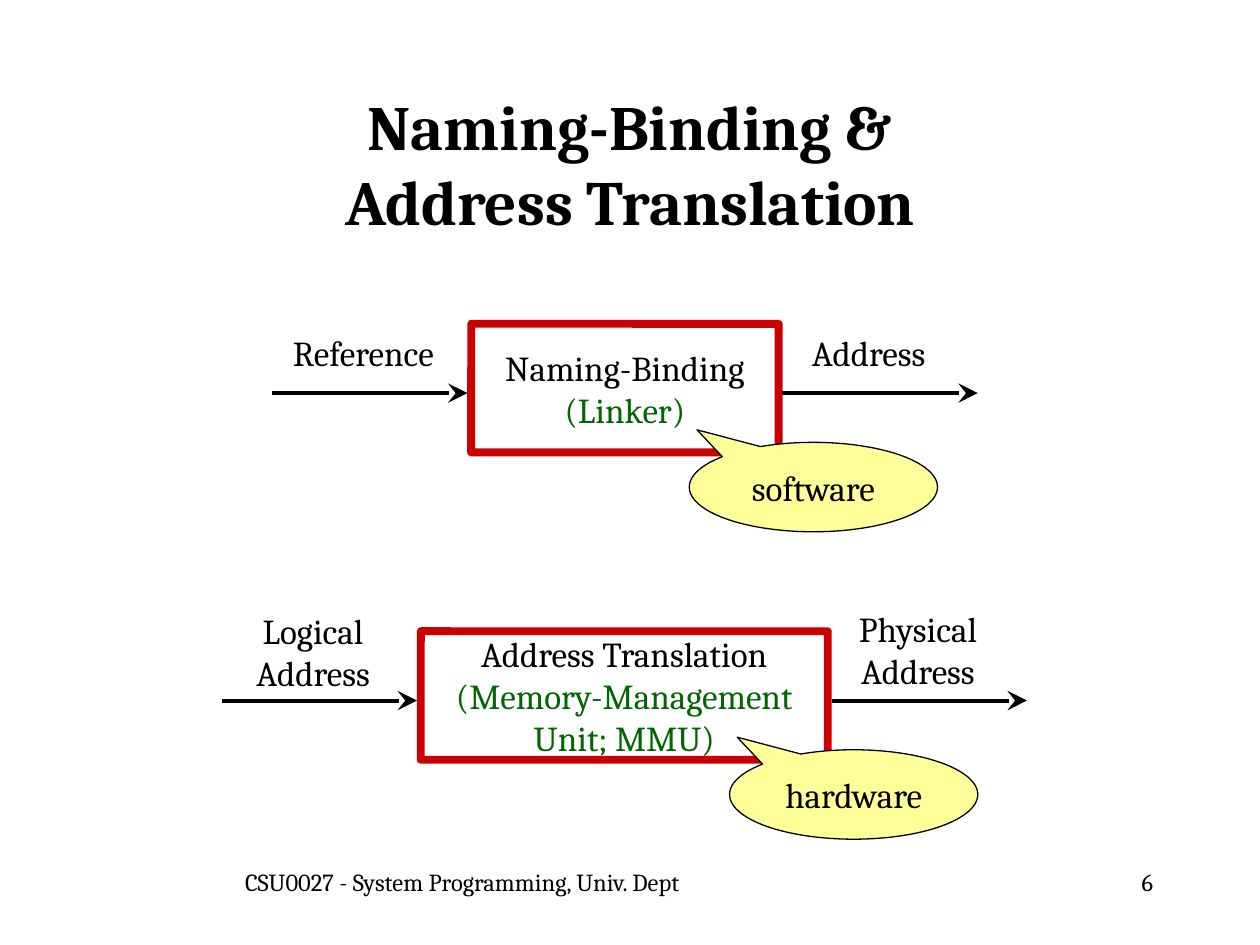
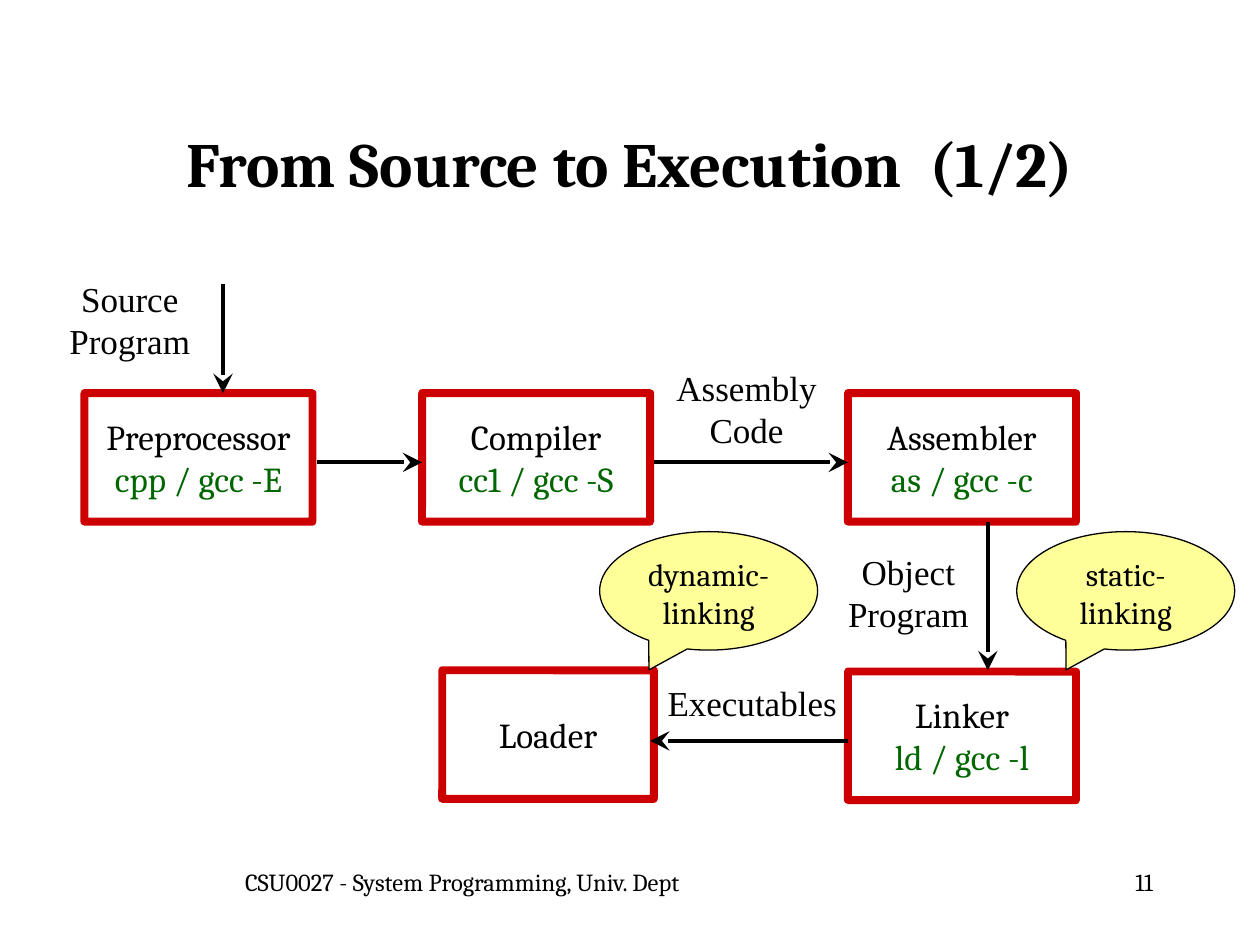
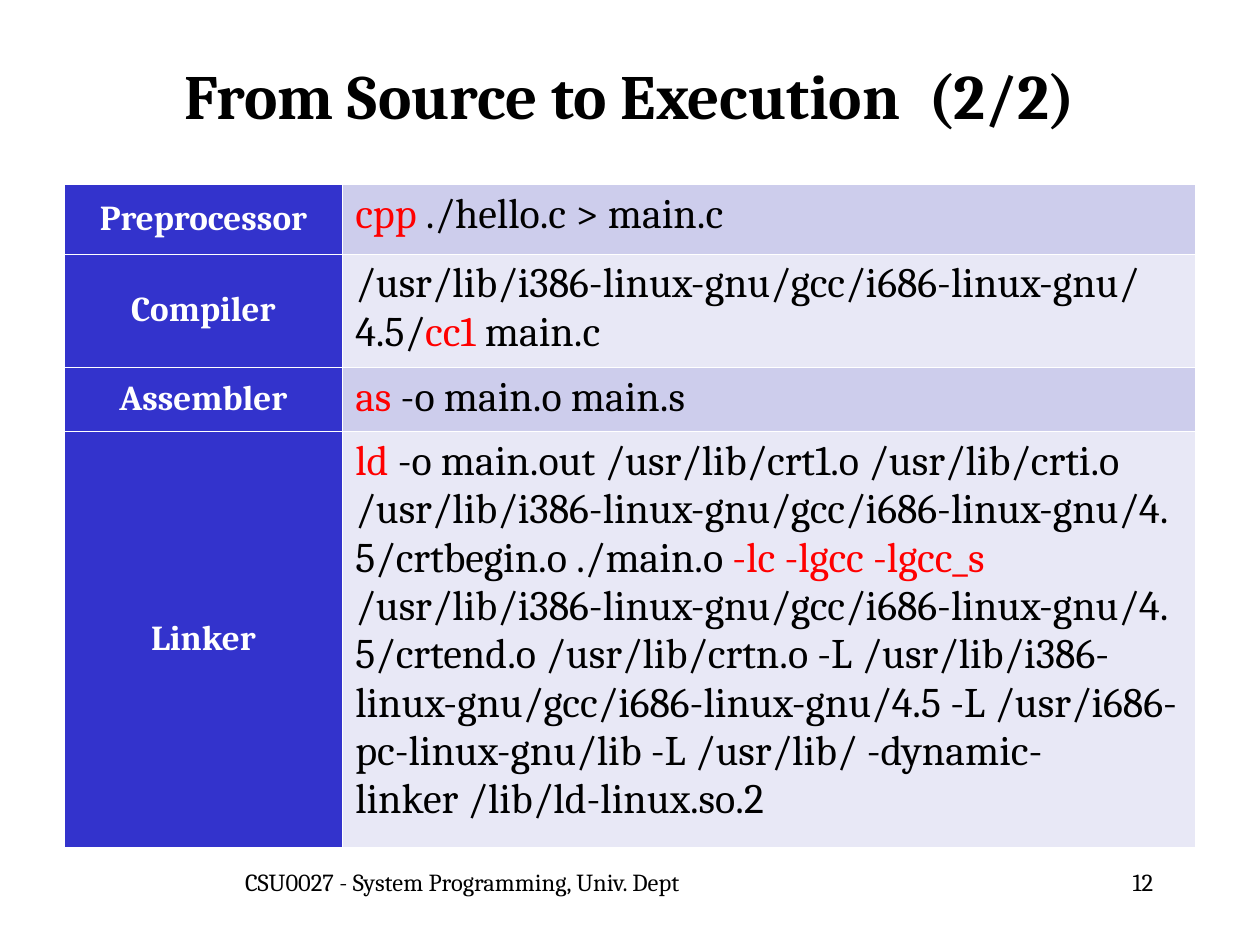
from lxml import etree
from pptx import Presentation
from pptx.dml.color import RGBColor
from pptx.enum.shapes import MSO_CONNECTOR, MSO_SHAPE
from pptx.enum.text import MSO_ANCHOR, MSO_AUTO_SIZE, PP_ALIGN
from pptx.oxml.ns import qn
from pptx.util import Inches, Pt

LEFT, MID, RIGHT = PP_ALIGN.LEFT, PP_ALIGN.CENTER, PP_ALIGN.RIGHT
TOP, CORE = MSO_ANCHOR.TOP, MSO_ANCHOR.MIDDLE
NONE, GROW = MSO_AUTO_SIZE.NONE, MSO_AUTO_SIZE.SHAPE_TO_FIT_TEXT
ROUND, WEDGE = MSO_SHAPE.ROUNDED_RECTANGLE, MSO_SHAPE.OVAL_CALLOUT
LINE = MSO_CONNECTOR.STRAIGHT

BLACK, WHITE, RED, GREEN = "000000", "FFFFFF", "FF0000", "006600"
FRAME, CLOUD, HEAD = "CC0000", "FFFF99", "3333CC"
BANDS = ["CDCDEC", "E8E8F6"]
hue = RGBColor.from_string

BODY = {"name": "Cambria", "size": Pt(20), "bold": False}
TIMES = {**BODY, "name": "Times New Roman"}
SMALL = {**BODY, "size": Pt(18)}
FOOT = {**BODY, "size": Pt(14)}
CODE = {**BODY, "size": Pt(24)}
BOLD = {**BODY, "bold": True}
TITLE = {**BOLD, "size": Pt(36)}
TIP = {"type": "stealth", "w": "lg", "len": "lg"}

deck = Presentation()
deck.slide_width, deck.slide_height = Inches(10), Inches(7.5)
CELL = deck.slide_width / 100


def grid(*spans):
    return [round(span * CELL) for span in spans]


def write(frame, paras, form, align=MID, ink=BLACK, mark=GREEN):
    for i, para in enumerate(paras):
        p = frame.add_paragraph() if i else frame.paragraphs[0]
        p.alignment = align
        for j, part in enumerate(para.split("|")):
            if part == "\v":
                p.add_line_break()
            elif part:
                run = p.add_run()
                run.text = part
                run.font.color.rgb = hue(mark if j % 2 else ink)
                for key, value in form.items():
                    setattr(run.font, key, value)


pairs = {
    "title": "Naming-Binding &|\v|Address Translation", "top": 6.67, "page": "6",
    "form": BODY, "note": BODY, "anchor": CORE, "turn": 180, "tip": (0.469, 0.64),
    "boxes": [], "labels": [], "lines": [], "notes": [],
}
for y, x, wide, text, ins, outs, note in [
    (25.7, 37.4, 24.4, ["Naming-Binding", "|(Linker)"],
     (21.2, 25.8, 15.3, 4.4, ["Reference"]),
     (62.6, 25.8, 12.7, 4.4, ["Address"]), (54.7, "software")),
    (50.1, 33.4, 32.3, ["Address Translation", "|(Memory-Management", "|Unit; MMU)"],
     (18.5, 47.9, 12.7, 7.7, ["Logical", "Address"]),
     (66.4, 47.7, 12.9, 7.7, ["Physical", "Address"]), (57.9, "hardware")),
]:
    pairs["boxes"].append((x, y, wide, text))
    pairs["labels"] += [ins, outs]
    for start in (x - 15.8, x + wide + 0.3):
        pairs["lines"].append((start, y + 5.5, start + 15.5, y + 5.5))
    pairs["notes"].append((note[0], y + 9.4, 19.7, 7.1, note[1]))

flow = {
    "title": "From Source to Execution  (1/2)", "top": 6.67, "page": "11",
    "form": TIMES, "note": SMALL, "anchor": TOP, "turn": 0, "tip": (-0.274, 0.667),
    "boxes": [
        (6.7, 31.2, 18.1, ["Preprocessor", "|cpp / gcc -E"]),
        (33.5, 31.2, 18.1, ["Compiler", "|cc1 / gcc -S"]),
        (67.3, 31.2, 18.1, ["Assembler", "|as / gcc -c"]),
        (67.3, 53.3, 18.1, ["Linker", "|ld / gcc -l"]),
        (35.1, 53.2, 16.8, ["Loader"]),
    ],
    "labels": [
        (4.5, 21.5, 11.6, 7.7, ["Source", "Program"]),
        (52.7, 28.6, 13.1, 7.7, ["Assembly", "Code"]),
        (66.3, 43.2, 11.6, 7.7, ["Object", "Program"]),
        (51.7, 53.6, 16, 4.4, ["Executables"]),
    ],
    "lines": [
        (17.7, 22.5, 17.7, 31.2),
        (25.2, 36.7, 33.5, 36.7),
        (51.9, 36.7, 67.3, 36.7),
        (78.4, 41.4, 78.4, 53.2),
        (67.3, 58.8, 51.6, 58.8),
    ],
    "notes": [
        (80.7, 42.2, 17.3, 9.4, "static-linking"),
        (47.6, 42.2, 17.3, 9.4, "dynamic-linking"),
    ],
}

steps = {
    "title": "From Source to Execution  (2/2)", "top": 1.25, "page": "12",
    "rows": [
        (5.5, "Preprocessor", "|cpp| ./hello.c > main.c"),
        (9, "Compiler", "/usr/lib/i386-linux-gnu/gcc/i686-linux-gnu/4.5/|cc1| main.c"),
        (5.1, "Assembler", "|as| -o main.o main.s"),
        (33, "Linker",
         "|ld| -o main.out /usr/lib/crt1.o /usr/lib/crti.o "
         "/usr/lib/i386-linux-gnu/gcc/i686-linux-gnu/4.5/crtbegin.o ./main.o "
         "|-lc -lgcc -lgcc_s |"
         "/usr/lib/i386-linux-gnu/gcc/i686-linux-gnu/4.5/crtend.o /usr/lib/crtn.o "
         "-L /usr/lib/i386-linux-gnu/gcc/i686-linux-gnu/4.5 "
         "-L /usr/i686-pc-linux-gnu/lib -L /usr/lib/ "
         "-dynamic-linker /lib/ld-linux.so.2"),
    ],
}

for scene in (pairs, flow, steps):
    slide = deck.slides.add_slide(deck.slide_layouts[5])
    shapes = slide.shapes
    title = shapes.title
    title.left, title.top, title.width, title.height = grid(7.5, scene["top"], 85, 12.5)
    title.text_frame.auto_size = NONE
    title.text_frame.vertical_anchor = CORE
    write(title.text_frame, [scene["title"]], TITLE)

    for x, wide, text, align in [
        (7.5, 58.4, "CSU0027 - System Programming, Univ. Dept", MID),
        (71.7, 20.8, scene["page"], RIGHT),
    ]:
        foot = shapes.add_textbox(*grid(x, 68.3, wide, 5)).text_frame
        foot.word_wrap = True
        write(foot, [text], FOOT, align)

    for x, y, wide, text in scene.get("boxes", []):
        box = shapes.add_shape(ROUND, *grid(x, y, wide, 10.2))
        box.adjustments[0] = 0.001
        box.shadow.inherit = False
        box.fill.background()
        box.line.color.rgb = hue(FRAME)
        box.line.width = Pt(4.5)
        box.text_frame.word_wrap = False
        box.text_frame.vertical_anchor = CORE
        write(box.text_frame, text, BODY)

    for *area, text in scene.get("labels", []):
        label = shapes.add_textbox(*grid(*area)).text_frame
        label.word_wrap = False
        label.auto_size = GROW
        write(label, text, scene["form"])

    for ends in scene.get("lines", []):
        arrow = shapes.add_connector(LINE, *grid(*ends))
        arrow.line.color.rgb = hue(BLACK)
        arrow.line.width = Pt(2.25)
        props = arrow.element.spPr
        etree.SubElement(props.find(qn("a:ln")), qn("a:tailEnd"), TIP)
        etree.SubElement(props, qn("a:effectLst"))

    for *area, text in scene.get("notes", []):
        note = shapes.add_shape(WEDGE, *grid(*area))
        note.adjustments[0], note.adjustments[1] = scene["tip"]
        note.rotation = scene["turn"]
        note.element.txBody.bodyPr.set("rot", str(scene["turn"] * 60000))
        note.shadow.inherit = False
        note.fill.solid()
        note.fill.fore_color.rgb = hue(CLOUD)
        note.line.color.rgb = hue(BLACK)
        note.line.width = Pt(0.75)
        note.text_frame.word_wrap = True
        note.text_frame.vertical_anchor = scene["anchor"]
        write(note.text_frame, [text], scene["note"])

    rows = scene.get("rows", [])
    if rows:
        table = shapes.add_table(len(rows), 2, *grid(5.1, 14.65, 89.8, 52.6)).table
        table.first_row = table.horz_banding = False
        table.columns[0].width, table.columns[1].width = grid(22.1, 67.7)
        for i, (high, name, code) in enumerate(rows):
            table.rows[i].height = grid(high)[0]
            for j, (text, fill, form, align, ink, anchor) in enumerate([
                (name, HEAD, BOLD, MID, WHITE, CORE),
                (code, BANDS[i % 2], CODE, LEFT, BLACK, TOP),
            ]):
                cell = table.cell(i, j)
                cell.vertical_anchor = anchor
                props = cell._tc.get_or_add_tcPr()
                for side in ("lnL", "lnR", "lnT", "lnB"):
                    edge = etree.SubElement(props, qn("a:" + side), w=str(Pt(0.45)))
                    paint = etree.SubElement(edge, qn("a:solidFill"))
                    etree.SubElement(paint, qn("a:srgbClr"), val=WHITE)
                cell.fill.solid()
                cell.fill.fore_color.rgb = hue(fill)
                write(cell.text_frame, [text], form, align, ink, RED)

deck.save("out.pptx")
